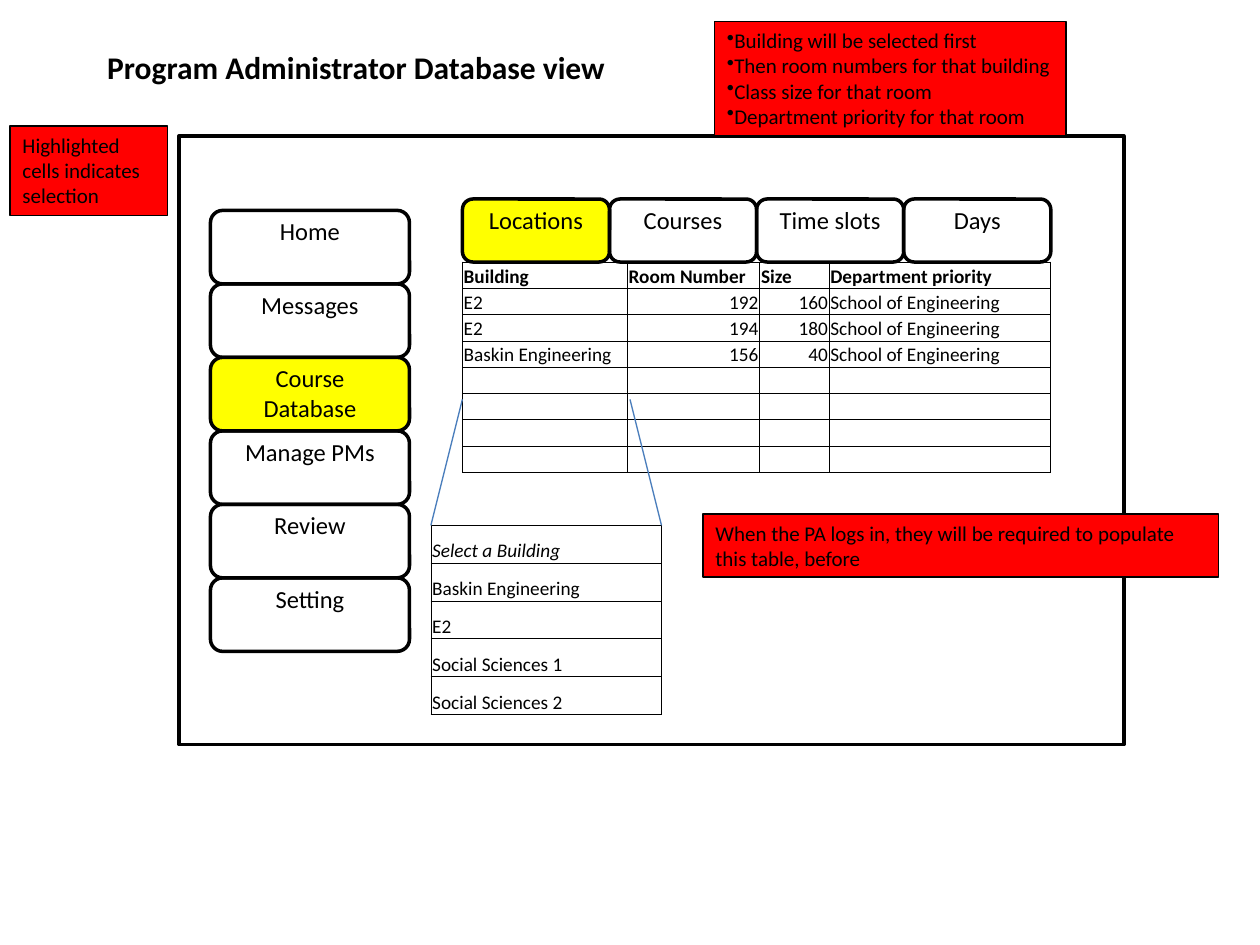
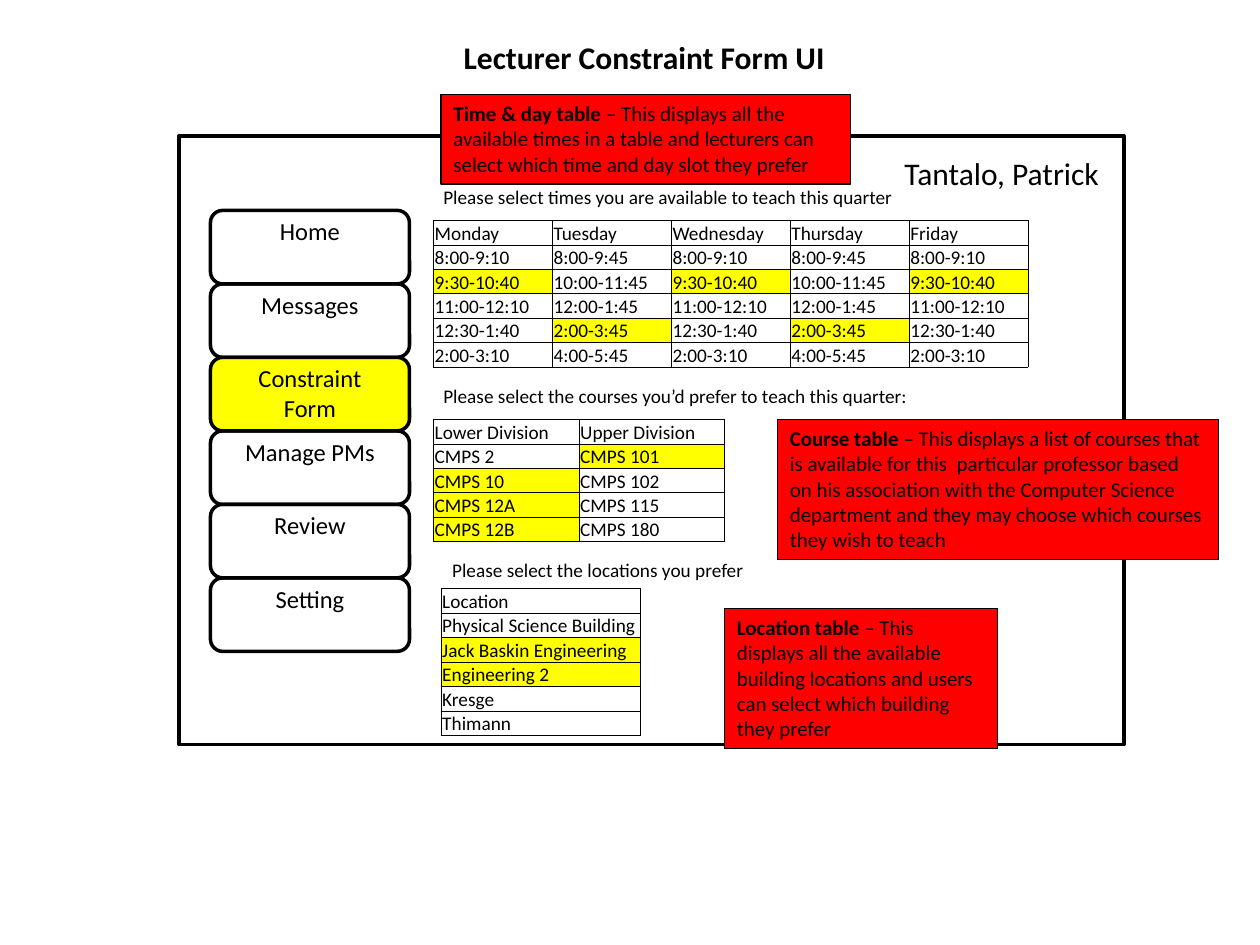
from lxml import etree
from pptx import Presentation
from pptx import util as u
from pptx.dml import color
from pptx.enum import shapes, text
from pptx.oxml import ns, parse_xml

COLORS = {"ink": "000000", "note": "FF0000", "selected": "FFFF00", "pointer": "4B7EBC"}
FONT = "Calibri"
FRAME = (1.42, 1.08, 7.5, 4.83)


def rgb(name):
    return color.RGBColor.from_string(COLORS[name])


class Wireframe:
    """Holds the shared style and the slide being drawn."""

    def __init__(self, presentation):
        self.presentation = presentation
        self.slide = None

    def format_text(self, text_frame, size, bold=None, italic=None, align=text.PP_ALIGN.LEFT):
        for paragraph in text_frame.paragraphs:
            paragraph.alignment = align
            for run in paragraph.runs:
                font = run.font
                font.name, font.size = FONT, u.Pt(size)
                font.color.rgb = rgb("ink")
                if bold is not None:
                    font.bold = bold
                if italic is not None:
                    font.italic = italic

    def new_slide(self, title, box):
        """Start a slide with its title and the application window frame."""
        self.slide = self.presentation.slides.add_slide(self.presentation.slide_layouts[5])
        shape = self.slide.shapes.title
        shape.left, shape.top, shape.width, shape.height = map(u.Inches, box)
        text_frame = shape.text_frame
        text_frame.text = title
        text_frame.word_wrap = False
        text_frame.vertical_anchor = text.MSO_ANCHOR.TOP
        text_frame.auto_size = text.MSO_AUTO_SIZE.NONE
        self.format_text(text_frame, 18, bold=True)
        self.shape(shapes.MSO_SHAPE.RECTANGLE, FRAME)

    def shape(self, kind, box, fill=None, line_width=2):
        shape = self.slide.shapes.add_shape(kind, *map(u.Inches, box))
        shape.shadow.inherit = False
        if fill:
            shape.fill.solid()
            shape.fill.fore_color.rgb = rgb(fill)
        else:
            shape.fill.background()
        shape.line.color.rgb = rgb("ink")
        shape.line.width = u.Pt(line_width)
        shape.text_frame.vertical_anchor = text.MSO_ANCHOR.TOP
        return shape

    def button(self, box, caption, selected=False):
        shape = self.shape(shapes.MSO_SHAPE.ROUNDED_RECTANGLE, box, "selected" if selected else None)
        text_frame = shape.text_frame
        text_frame.text = caption
        text_frame.word_wrap = True
        text_frame.margin_left = text_frame.margin_right = u.Inches(box[2] / 10)
        text_frame.margin_top, text_frame.margin_bottom = u.Inches(0.02), 0
        self.format_text(text_frame, 14, align=text.PP_ALIGN.CENTER)

    def menu(self, selected):
        """Left-hand menu; its third entry is the open page."""
        captions = ["Home", "Messages", selected, "Manage PMs", "Review", "Setting"]
        step = 3.5 / len(captions)
        for index, caption in enumerate(captions):
            self.button((1.67, 1.67 + index * step, 1.58, step), caption, caption == selected)

    def tabs(self, captions, selected):
        step = 4.67 / len(captions)
        for index, caption in enumerate(captions):
            self.button((3.67 + index * step, 1.58, step, 0.5), caption, caption == selected)

    def note(self, box, body, lead="", bullets=False):
        shape = self.shape(shapes.MSO_SHAPE.RECTANGLE, box, "note", 0.75)
        text_frame = shape.text_frame
        text_frame.word_wrap = not bullets
        text_frame.text = lead or body
        if lead:
            paragraph = text_frame.paragraphs[0]
            paragraph.runs[0].font.bold = True
            paragraph.add_run().text = body
        self.format_text(text_frame, 12)
        if bullets:
            for paragraph in text_frame.paragraphs:
                properties = paragraph._p.get_or_add_pPr()
                etree.SubElement(properties, ns.qn("a:buChar")).set("char", "•")

    def label(self, box, caption, size=11):
        shape = self.slide.shapes.add_textbox(*map(u.Inches, box))
        text_frame = shape.text_frame
        text_frame.text = caption
        text_frame.word_wrap = False
        text_frame.auto_size = text.MSO_AUTO_SIZE.SHAPE_TO_FIT_TEXT
        self.format_text(text_frame, size)

    def pointer(self, start, end):
        line = self.slide.shapes.add_connector(
            shapes.MSO_CONNECTOR.STRAIGHT, *map(u.Inches, start + end))
        line.line.color.rgb = rgb("pointer")
        line.line.width = u.Pt(0.75)
        etree.SubElement(line._element.spPr, ns.qn("a:effectLst"))

    def border(self, cell):
        properties = cell._tc.get_or_add_tcPr()
        for side in "LRTB":
            properties.append(parse_xml(
                f'<a:ln{side} {ns.nsdecls("a")} w="6350"><a:solidFill>'
                f'<a:srgbClr val="{COLORS["ink"]}"/></a:solidFill></a:ln{side}>'))

    def table(self, box, rows, widths=None, selected=(), bold_header=False, italic_header=False):
        """Draw a grid; selected holds the (row, column) pairs to highlight."""
        count = len(rows[0])
        widths = widths or [box[2] / count] * count
        frame = self.slide.shapes.add_table(len(rows), count, *map(u.Inches, box))
        table = frame.table
        table.first_row = table.horz_banding = False
        for column, width in zip(table.columns, widths):
            column.width = u.Inches(width)
        for row_index, row in enumerate(rows):
            table.rows[row_index].height = u.Inches(box[3] / len(rows))
            for column_index, value in enumerate(row):
                cell = table.cell(row_index, column_index)
                cell.margin_left = cell.margin_right = cell.margin_top = u.Inches(0.01)
                cell.margin_bottom = 0
                cell.vertical_anchor = text.MSO_ANCHOR.BOTTOM
                self.border(cell)
                if (row_index, column_index) in selected:
                    cell.fill.solid()
                    cell.fill.fore_color.rgb = rgb("selected")
                else:
                    cell.fill.background()
                if value:
                    cell.text_frame.text = value
                    header = row_index == 0
                    align = text.PP_ALIGN.RIGHT if value.isdigit() else text.PP_ALIGN.LEFT
                    self.format_text(cell.text_frame, 11, header and bold_header,
                                     header and italic_header, align)
                else:
                    # Keeps an empty row from growing to the default text size
                    paragraph = cell.text_frame.paragraphs[0]
                    etree.SubElement(paragraph._p, ns.qn("a:endParaRPr")).set("sz", "1100")


presentation = Presentation()
presentation.slide_width, presentation.slide_height = u.Inches(10), u.Inches(7.5)
page = Wireframe(presentation)

# Slide 1: administrator's database view
page.new_slide("Program Administrator Database view", (0.75, 0.33, 4.19, 0.4))
page.menu("Course Database")
page.tabs(["Locations", "Courses", "Time slots", "Days"], "Locations")

# Rooms, with four rows still to be filled in
school = "School of Engineering"
rooms = [
    ["Building", "Room Number", "Size", "Department priority"],
    ["E2", "192", "160", school],
    ["E2", "194", "180", school],
    ["Baskin Engineering", "156", "40", school],
] + [[""] * 4] * 4
page.table((3.67, 2.08, 4.67, 1.67), rooms, [1.31, 1.05, 0.55, 1.76], bold_header=True)

# Building picker, opened from a cell
buildings = ["Select a Building", "Baskin Engineering", "E2", "Social Sciences 1", "Social Sciences 2"]
page.table((3.42, 4.17, 1.83, 1.5), [[name] for name in buildings], italic_header=True)
page.pointer((3.67, 3.17), (3.42, 4.17))
page.pointer((5, 3.17), (5.25, 4.17))

# Notes
page.note((0.08, 1, 1.25, 0.71), "Highlighted cells indicates selection")
page.note((5.67, 0.17, 2.79, 0.91),
          "Building will be selected first\nThen room numbers for that building\n"
          "Class size for that room\nDepartment priority for that room", bullets=True)
page.note((5.58, 4.08, 4.09, 0.5),
          "When the PA logs in, they will be required to populate this table, before")

# Slide 2: lecturer's constraint form
page.new_slide("Lecturer Constraint Form UI", (3.58, 0.25, 3.09, 0.4))
page.menu("Constraint Form")
page.label((7.08, 1.17, 1.76, 0.4), "Tantalo, Patrick", 18)

# Times: short slots on three days, long slots on two
page.label((3.42, 1.42, 3.83, 0.29), "Please select times you are available to teach this quarter")
days = ["Monday", "Tuesday", "Wednesday", "Thursday", "Friday"]
short_slots = ["8:00-9:10", "9:30-10:40", "11:00-12:10", "12:30-1:40", "2:00-3:10"]
long_slots = ["8:00-9:45", "10:00-11:45", "12:00-1:45", "2:00-3:45", "4:00-5:45"]
times = [[short, long, short, long, short] for short, long in zip(short_slots, long_slots)]
page.table((3.44, 1.75, 4.72, 1.16), [days] + times,
           selected={(2, 0), (2, 2), (2, 4), (4, 1), (4, 3)})

# Courses
page.label((3.42, 3, 3.93, 0.29), "Please select the courses you’d prefer to teach this quarter:")
courses = [["Lower Division", "Upper Division"], ["CMPS 2", "CMPS 101"], ["CMPS 10", "CMPS 102"],
           ["CMPS 12A", "CMPS 115"], ["CMPS 12B", "CMPS 180"]]
page.table((3.44, 3.33, 2.31, 0.97), courses, selected={(1, 1), (2, 0), (3, 0), (4, 0)})

# Locations
page.label((3.49, 4.38, 2.54, 0.29), "Please select the locations you prefer")
locations = ["Location", "Physical Science Building", "Jack Baskin Engineering",
             "Engineering 2", "Kresge", "Thimann"]
page.table((3.5, 4.67, 1.58, 1.17), [[name] for name in locations], selected={(2, 0), (3, 0)})

# Notes
page.note((3.5, 0.75, 3.25, 0.71),
          "– This displays all the available times in a table and lecturers can select "
          "which time and day slot they prefer", "Time & day table ")
page.note((6.17, 3.33, 3.5, 1.11),
          "– This displays a list of courses that is available for this  particular professor "
          "based on his association with the Computer Science department and they may choose "
          "which courses they wish to teach", "Course table ")
page.note((5.75, 4.83, 2.17, 1.11),
          "– This displays all the available building locations and users can select "
          "which building they prefer", "Location table ")

presentation.save("out.pptx")
